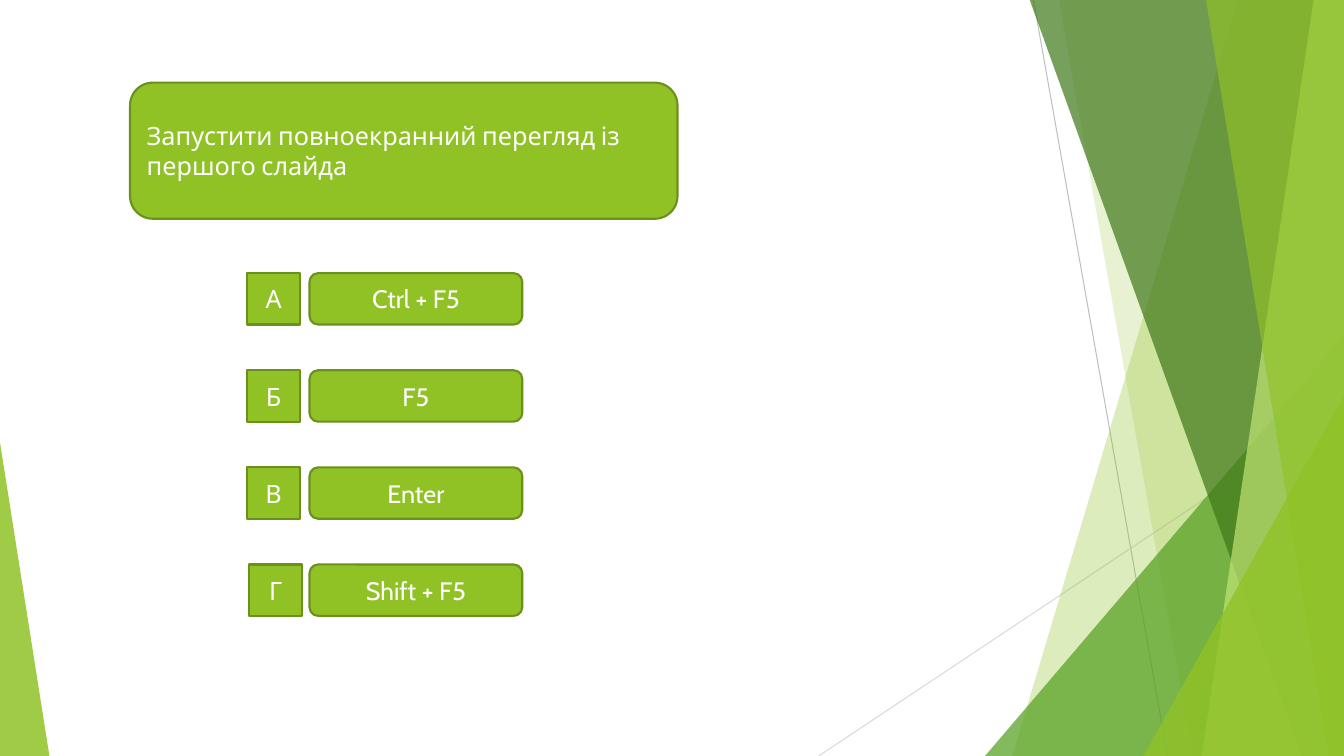
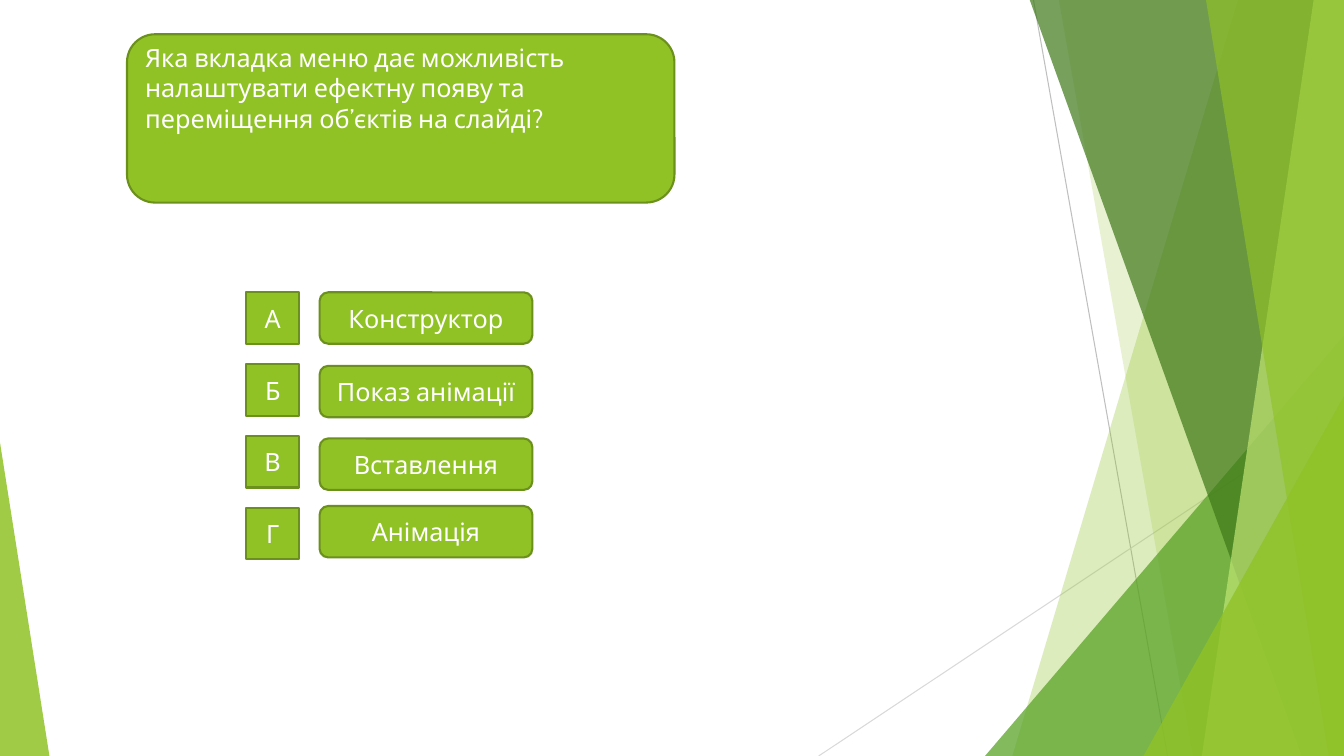
from pptx import Presentation
from pptx.dml.color import RGBColor
from pptx.enum.shapes import MSO_CONNECTOR, MSO_SHAPE
from pptx.enum.text import MSO_ANCHOR, PP_ALIGN
from pptx.oxml.ns import qn
from pptx.oxml.xmlchemy import OxmlElement
from pptx.util import Inches, Pt

WIDTH, HEIGHT, TOP = 13.33, 7.5, -0.01
LIME, GREEN, FOREST, PALE = "90C226", "54A021", "3F7819", "C0E474"
BORDER, WHITE = "6B901C", "FFFFFF"
FONT = {"name": "Cabin", "size": Pt(18)}
LETTERS = "АБВГ"
BUTTON_HEIGHT, LETTER_WIDTH, ANSWER_WIDTH = 0.51, 0.53, 2.11


def spread(first, last, count=len(LETTERS)):
    """Evenly spaced positions from first to last."""
    return [first + i * (last - first) / (count - 1) for i in range(count)]


QUESTIONS = [
    {
        "question": "Запустити повноекранний перегляд із першого слайда",
        "box": (1.29, 0.82, 5.43, 1.35),
        "frame": {"vertical_anchor": MSO_ANCHOR.MIDDLE},
        "answers": ["Ctrl + F5", "F5", "Enter", "Shift + F5"],
        "letter_lefts": [2.45, 2.45, 2.45, 2.47],
        "letter_tops": spread(2.71, 5.6),
        "answer_left": 3.07,
        "answer_tops": spread(2.71, 5.6),
    },
    {
        "question": "Яка вкладка меню дає можливість налаштувати ефектну появу "
                    "та переміщення об’єктів на слайді?",
        "box": (1.26, 0.34, 5.43, 1.67),
        "frame": {"vertical_anchor": MSO_ANCHOR.TOP, "margin_top": 0},
        "answers": ["Конструктор", "Показ анімації", "Вставлення", "Анімація"],
        "letter_lefts": [2.44] * 4,
        "letter_tops": spread(2.9, 5.04),
        "answer_left": 3.17,
        "answer_tops": [2.9, 3.63, 4.35, 5.02],
    },
]

# Hairlines: start, end, colour
HAIRLINES = [
    ((10.25, 0), (11.58, HEIGHT), "BFBFBF"),
    ((WIDTH, 4.03), (8.12, HEIGHT), "D9D9D9"),
]
# Facets from back to front. A band runs from its top-left x to its bottom-left x
# and fills to the right edge; a triangle has a box and an apex position.
FACETS = [
    ("band", (12.28, 10.04), LIME, 30),
    ("band", (10.5, 11.83), LIME, 20),
    ("triangle", (9.77, 3.33, 3.56, 1), GREEN, 72),
    ("band", (10.21, 12.91), FOREST, 70),
    ("band", (13.03, 11.92), PALE, 70),
    ("band", (11.96, 13.18), LIME, 65),
    ("triangle", (11.34, 3.93, 1.99, 1), LIME, 80),
    ("triangle", (0, 4.39, 0.49, 0), LIME, 85),
]


def rgb(code):
    return RGBColor.from_string(code)


def apply(target, values):
    for name, value in values.items():
        setattr(target, name, value)


def paint(shape, colour, opacity=100):
    shape.shadow.inherit = False
    shape.fill.solid()
    shape.fill.fore_color.rgb = rgb(colour)
    if opacity < 100:
        alpha = OxmlElement("a:alpha")
        alpha.set("val", str(opacity * 1000))
        shape.element.spPr.find(qn("a:solidFill"))[0].append(alpha)


def add_hairline(shapes, start, end, colour):
    hairline = shapes.add_connector(
        MSO_CONNECTOR.STRAIGHT, *map(Inches, start + end))
    hairline.line.color.rgb = rgb(colour)
    hairline.line.width = Pt(0.75)
    hairline.element.spPr.append(OxmlElement("a:effectLst"))
    return hairline


def add_band(shapes, top_left, bottom_left):
    outline = shapes.build_freeform(Inches(top_left), Inches(TOP))
    corners = [(WIDTH, TOP), (WIDTH, HEIGHT), (bottom_left, HEIGHT)]
    outline.add_line_segments([(Inches(x), Inches(y)) for x, y in corners])
    return outline.convert_to_shape()


def add_triangle(shapes, left, top, width, apex):
    triangle = shapes.add_shape(
        MSO_SHAPE.ISOSCELES_TRIANGLE,
        *map(Inches, (left, top, width, HEIGHT - top)))
    triangle.adjustments[0] = apex
    return triangle


def decorate(layout, slide):
    """Draw the backdrop on the slide, then move it to the shared layout."""
    builders = {"band": add_band, "triangle": add_triangle}
    backdrop = [add_hairline(slide.shapes, *hairline) for hairline in HAIRLINES]
    for kind, geometry, colour, opacity in FACETS:
        facet = builders[kind](slide.shapes, *geometry)
        paint(facet, colour, opacity)
        facet.line.fill.background()
        backdrop.append(facet)
    for part in backdrop:
        layout.shapes.element.append(part.element)


def add_label(slide, preset, box, text, align=PP_ALIGN.CENTER, frame=None):
    label = slide.shapes.add_shape(preset, *map(Inches, box))
    paint(label, LIME)
    label.line.color.rgb = rgb(BORDER)
    label.line.width = Pt(1.5)
    apply(label.text_frame, {"word_wrap": True, **(frame or {})})
    paragraph = label.text_frame.paragraphs[0]
    paragraph.alignment = align
    run = paragraph.add_run()
    run.text = text
    apply(run.font, FONT)
    run.font.color.rgb = rgb(WHITE)


def add_question(slide, quiz):
    add_label(slide, MSO_SHAPE.ROUNDED_RECTANGLE, quiz["box"], quiz["question"],
              PP_ALIGN.LEFT, quiz["frame"])
    rows = zip(LETTERS, quiz["answers"], quiz["letter_lefts"],
               quiz["letter_tops"], quiz["answer_tops"])
    for letter, answer, letter_left, letter_top, answer_top in rows:
        add_label(slide, MSO_SHAPE.ACTION_BUTTON_CUSTOM,
                  (letter_left, letter_top, LETTER_WIDTH, BUTTON_HEIGHT), letter)
        add_label(slide, MSO_SHAPE.ROUNDED_RECTANGLE,
                  (quiz["answer_left"], answer_top, ANSWER_WIDTH, BUTTON_HEIGHT),
                  answer)


def main():
    deck = Presentation()
    apply(deck, {"slide_width": Inches(WIDTH), "slide_height": Inches(HEIGHT)})
    blank = deck.slide_layouts[6]
    slides = [deck.slides.add_slide(blank) for _ in QUESTIONS]
    decorate(blank, slides[0])
    for slide, quiz in zip(slides, QUESTIONS):
        add_question(slide, quiz)
    deck.save("out.pptx")


if __name__ == "__main__":
    main()
